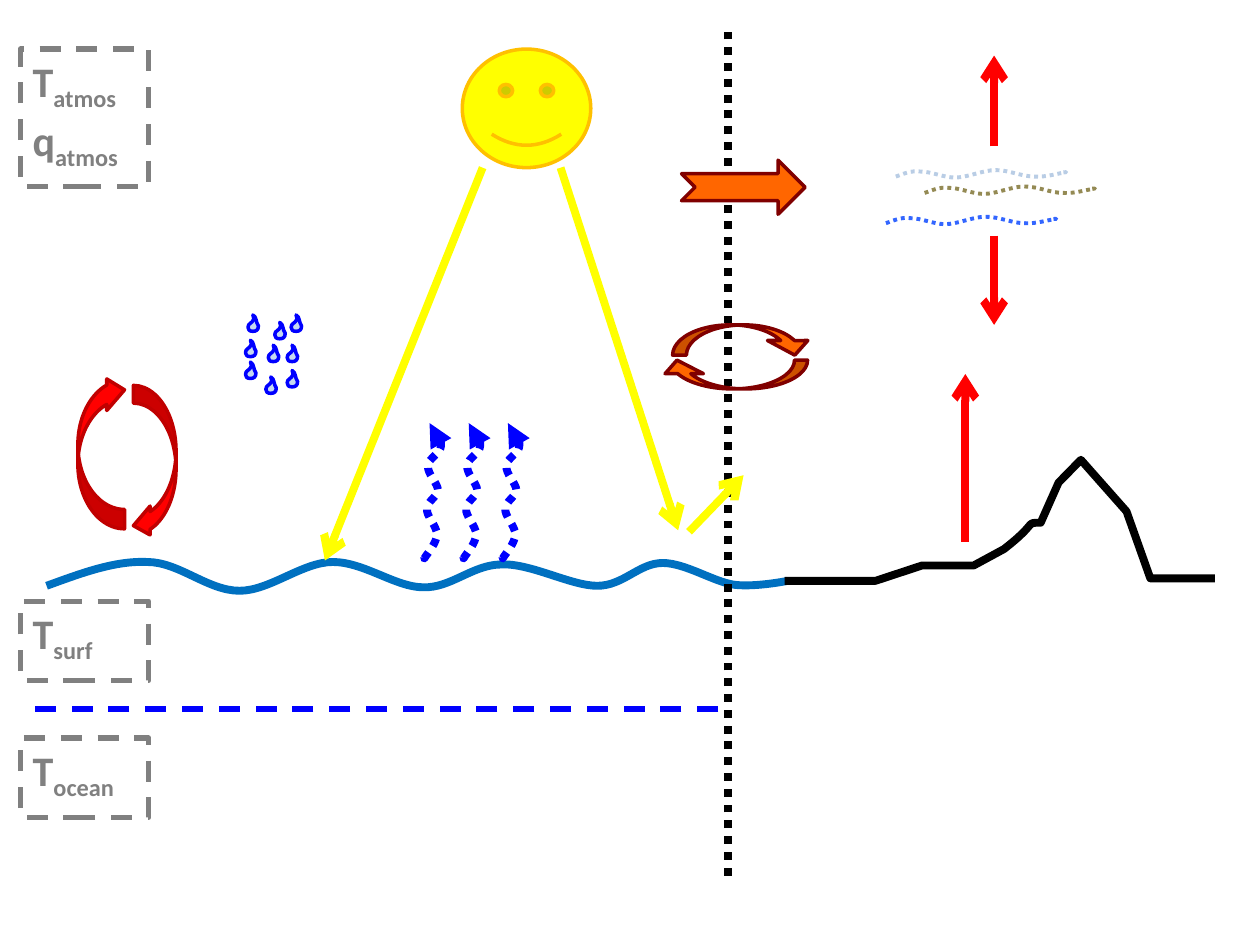
"""Draw a slide of heat and moisture fluxes between sea, land and air."""
from lxml import etree
from pptx import Presentation
from pptx.dml.color import RGBColor
from pptx.enum.dml import MSO_LINE
from pptx.enum.shapes import MSO_CONNECTOR, MSO_SHAPE
from pptx.oxml.ns import qn
from pptx.util import Cm, Pt

DOT, DASH = MSO_LINE.ROUND_DOT, MSO_LINE.DASH
STRAIGHT = MSO_CONNECTOR.STRAIGHT
RECT, SMILEY = MSO_SHAPE.RECTANGLE, MSO_SHAPE.SMILEY_FACE
LEFT, DOWN = MSO_SHAPE.CURVED_LEFT_ARROW, MSO_SHAPE.CURVED_DOWN_ARROW
NOTCHED = MSO_SHAPE.NOTCHED_RIGHT_ARROW

BLACK, GREY, BLUE = "000000", "808080", "0000FF"
YELLOW, GOLD, RED, DARK = "FFFF00", "FFC000", "FF0000", "C00000"
ORANGE, BROWN = "FF6600", "800000"

SEA = [(0.94, 11.81), (1.63, 11.56, 2.31, 11.3, 2.97, 11.33),
       (3.61, 11.33, 4.19, 11.91, 4.83, 11.91),
       (5.44, 11.91, 6.1, 11.33, 6.71, 11.33),
       (7.34, 11.33, 7.98, 11.84, 8.53, 11.84),
       (9.09, 11.86, 9.53, 11.38, 10.11, 11.38),
       (10.69, 11.35, 11.51, 11.81, 12.04, 11.81),
       (12.57, 11.81, 12.88, 11.35, 13.36, 11.35),
       (13.82, 11.35, 14.38, 11.73, 14.81, 11.79),
       (15.24, 11.84, 15.88, 11.71, 15.88, 11.71)]
LAND = [(15.82, 11.71), (17.65, 11.71), (18.59, 11.4), (19.63, 11.4),
        (20.24, 11.07), (20.95, 10.52, 20.65, 10.54, 20.98, 10.54),
        (21.34, 9.73), (21.79, 9.27), (22.71, 10.31), (23.19, 11.66),
        (24.49, 11.66)]
DROP = [(0.1, 0), (0.18, 0.04, 0.15, 0.14, 0.21, 0.22),
        (0.21, 0.3, 0.17, 0.33, 0.1, 0.33), (0.03, 0.33, 0, 0.3, 0, 0.25),
        (0, 0.16, 0.08, 0.18, 0.12, 0.08), (0.1, 0)]
DROPS = [(5.54, 6.5), (5.79, 6.96), (5.87, 6.35), (5.79, 7.47), (5.41, 6.96),
         (5.36, 7.6), (5, 6.35), (4.95, 6.86), (4.95, 7.3)]
VAPOUR = [(0.13, 0), (0.25, 0.15, 0.36, 0.3, 0.36, 0.46),
          (0.36, 0.61, 0.1, 0.71, 0.1, 0.86), (0.08, 1.02, 0.3, 1.22, 0.3, 1.35),
          (0.28, 1.5, 0.08, 1.57, 0.08, 1.73), (0.05, 1.85, 0.28, 2.08, 0.28, 2.24),
          (0.28, 2.41, 0.08, 2.64, 0.05, 2.69), (0, 2.77, 0.03, 2.72, 0.03, 2.67)]
HAZE = [(0, 0.13), (0.15, 0.08, 0.3, 0, 0.51, 0.03),
        (0.71, 0.03, 0.97, 0.15, 1.19, 0.15), (1.45, 0.15, 1.75, 0, 2.01, 0),
        (2.29, 0, 2.54, 0.13, 2.79, 0.13), (3.02, 0.15, 3.33, 0.05, 3.4, 0.05),
        (3.5, 0.03, 3.35, 0.05, 3.35, 0.05), (3.35, 0.05, 3.38, 0.05, 3.4, 0.05)]


def paint(code):
    return RGBColor.from_string(code)


def write(para, text, font="Calibri", size=24, color=GREY, bold=True, base=0):
    run = para.add_run()
    run.text = text
    run.font.name, run.font.size, run.font.bold = font, Pt(size), bold
    run.font.color.rgb = paint(color)
    if base:
        run._r.get_or_add_rPr().set("baseline", str(base * 1000))


def bend(shape, parts):
    steps = iter(list(shape.element.iter(qn("a:lnTo"))))
    for part in parts:
        group = [next(steps) for _ in range(len(part) // 2)]
        if len(group) == 3:
            track = group[0].getparent()
            arc = etree.Element(qn("a:cubicBezTo"))
            track.insert(track.index(group[0]), arc)
            for step in group:
                arc.append(step[0])
                track.remove(step)


class Board:
    def __init__(self, slide, width=4.5):
        self.shapes = slide.shapes
        self.width = width

    def style(self, shape, color, width=None, dash=None, end=None):
        line = shape.line
        line.color.rgb = paint(color)
        line.width = Pt(width or self.width)
        if dash:
            line.dash_style = dash
        if end:
            tag, kind = end
            mark = etree.SubElement(shape.element.spPr.find(qn("a:ln")), qn(tag))
            mark.set("type", kind)

    def fill(self, shape, color):
        shape.shadow.inherit = False
        if color:
            shape.fill.solid()
            shape.fill.fore_color.rgb = paint(color)
        else:
            shape.fill.background()

    def line(self, x, y, right, low, color, **look):
        wire = self.shapes.add_connector(STRAIGHT, Cm(x), Cm(y), Cm(right), Cm(low))
        self.style(wire, color, **look)
        etree.SubElement(wire.element.spPr, qn("a:effectLst"))

    def arrow(self, x, y, right, low, color):
        self.line(x, y, right, low, color, end=("a:tailEnd", "arrow"))

    def shape(self, kind, x, y, wide, high, fill, color, width=2, dash=None,
              adjust=(), turn=0):
        shape = self.shapes.add_shape(kind, Cm(x), Cm(y), Cm(wide), Cm(high))
        for index, value in enumerate(adjust):
            shape.adjustments[index] = value
        shape.rotation = turn
        self.fill(shape, fill)
        self.style(shape, color, width, dash)

    def curve(self, path, color, x=0, y=0, fill=None, closed=False, **look):
        points = [(Cm(x + part[i]), Cm(y + part[i + 1]))
                  for part in path for i in range(0, len(part), 2)]
        pen = self.shapes.build_freeform(*points[0])
        pen.add_line_segments(points[1:], close=closed)
        shape = pen.convert_to_shape()
        bend(shape, path[1:])
        self.fill(shape, fill)
        self.style(shape, color, **look)

    def label(self, x, y, name, sub):
        box = self.shapes.add_textbox(Cm(x), Cm(y), Cm(3), Cm(1.27))
        box.text_frame.word_wrap = True
        para = box.text_frame.paragraphs[0]
        write(para, name)
        write(para, sub, base=-25)


deck = Presentation()
deck.slide_width, deck.slide_height = Cm(25.4), Cm(19.05)
board = Board(deck.slides.add_slide(deck.slide_layouts[6]))

board.curve(SEA, "0070C0")
board.line(14.68, 17.65, 14.68, 0.61, BLACK, dash=DOT)
board.arrow(9.73, 3.38, 6.55, 11.3, YELLOW)
for x, y in DROPS:
    board.curve(DROP, BLUE, x, y, fill="C6D9F1", closed=True, width=2)
for column in range(3):
    board.curve(VAPOUR, BLUE, 8.53 + 0.79 * column, 8.53, dash=DOT,
                end=("a:headEnd", "triangle"))
board.curve(LAND, BLACK)
board.arrow(11.3, 3.38, 13.67, 10.69, YELLOW)
board.line(14.48, 14.29, 0.41, 14.29, BLUE, width=3, dash=DASH)

for y, high, names in ((0.99, 2.77, (("T", "atmos"), ("q", "atmos"))),
                       (12.12, 1.6, (("T", "surf"),)),
                       (14.88, 1.6, (("T", "ocean"),))):
    for row, (name, sub) in enumerate(names):
        board.label(0.41, y + 1.19 * row, name, sub)
    board.shape(RECT, 0.41, y, 2.59, high, None, GREY, 3, DASH)

board.arrow(19.46, 10.92, 19.46, 7.54, RED)
board.arrow(20.04, 4.75, 20.04, 6.55, RED)
board.shape(LEFT, 1.57, 7.54, 0.94, 3.12, RED, DARK, adjust=(0.415, 0.677, 0.381), turn=180)
board.shape(LEFT, 2.69, 7.77, 0.86, 3.12, RED, DARK, adjust=(0.415, 0.677, 0.391))
board.shape(SMILEY, 9.32, 0.99, 2.59, 2.39, YELLOW, GOLD)
board.arrow(20.04, 2.95, 20.04, 1.12, RED)
board.shape(DOWN, 13.56, 6.55, 2.87, 0.61, ORANGE, BROWN, adjust=(0.457, 1.333, 0.482))
board.shape(DOWN, 13.26, 7.26, 3.02, 0.58, ORANGE, BROWN, adjust=(0.457, 1.333, 0.47), turn=180)
board.shape(NOTCHED, 13.74, 3.23, 2.49, 1.09, ORANGE, BROWN)
for x, y, color in ((18.06, 3.43, "B9CDE5"), (18.64, 3.76, "948A54"), (17.86, 4.37, "3366FF")):
    board.curve(HAZE, color, x, y, width=2.25, dash=DOT)
board.arrow(13.89, 10.72, 14.99, 9.58, YELLOW)

deck.save("out.pptx")
